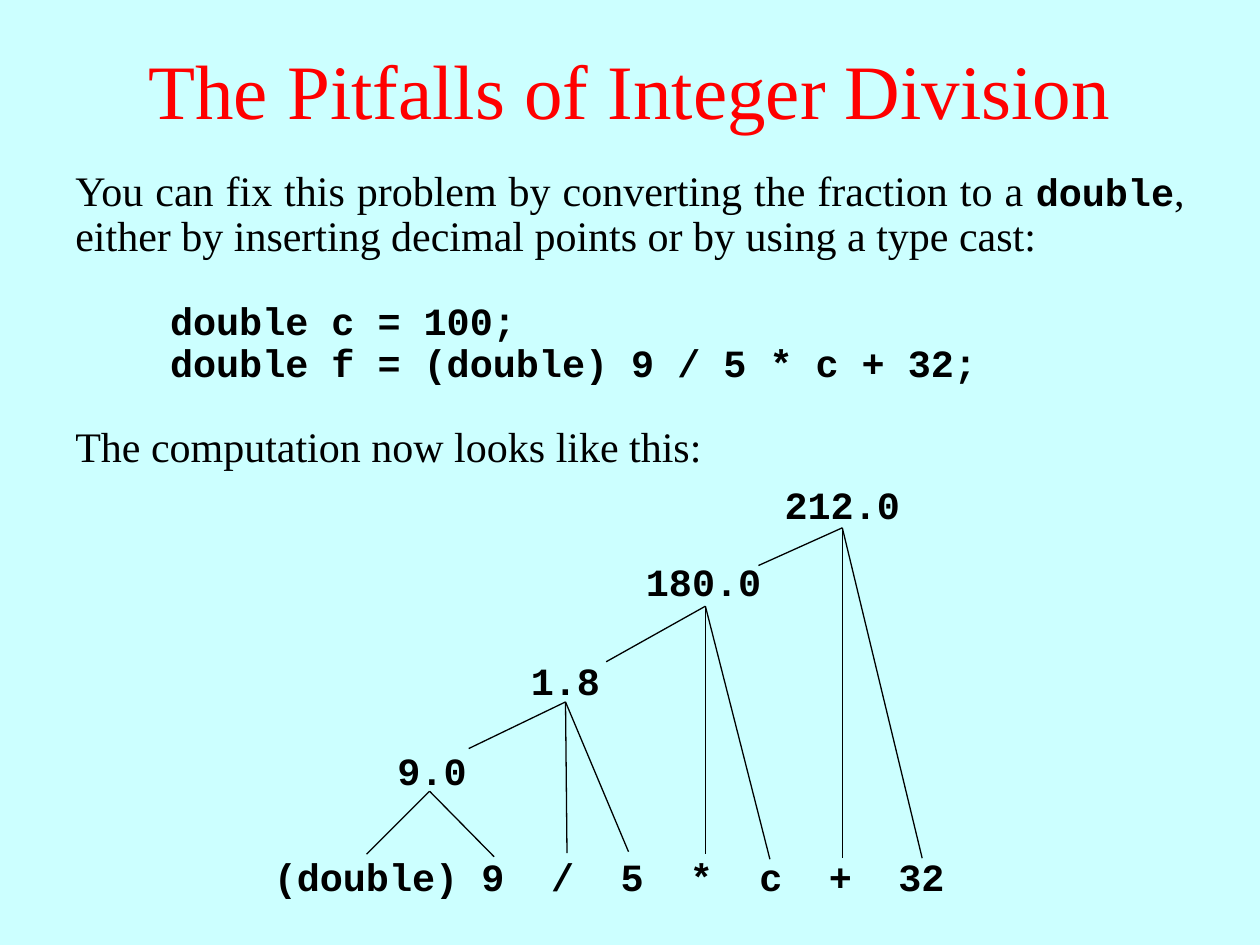
from lxml import etree
from pptx import Presentation
from pptx.dml.color import RGBColor
from pptx.enum.shapes import MSO_CONNECTOR
from pptx.enum.text import MSO_ANCHOR, MSO_AUTO_SIZE, PP_ALIGN
from pptx.oxml.ns import qn
from pptx.util import Cm, Pt

CENTER, JUSTIFY, LEFT = PP_ALIGN.CENTER, PP_ALIGN.JUSTIFY, PP_ALIGN.LEFT
MIDDLE = MSO_ANCHOR.MIDDLE
NO_AUTOFIT = MSO_AUTO_SIZE.NONE
STRAIGHT = MSO_CONNECTOR.STRAIGHT

BACKGROUND = RGBColor(0xCC, 0xFF, 0xFF)
RED = RGBColor(0xFF, 0x00, 0x00)
BLACK = RGBColor(0x00, 0x00, 0x00)
SERIF, MONO = "Times New Roman", "Courier New"


def set_font(font, name, size, color=BLACK, bold=False):
    font.name, font.size, font.bold = name, Pt(size), bold
    font.color.rgb = color


def add_text(left, top, width, height, lines, align, code=True):
    """Add a box of lines, set as bold code or as running text."""
    sp = slide.shapes.add_textbox(Cm(left), Cm(top), Cm(width), Cm(height))
    tf = sp.text_frame
    tf.word_wrap = True
    for i, line in enumerate(lines):
        p = tf.paragraphs[0] if i == 0 else tf.add_paragraph()
        p.text = line
        p.alignment = align
        p.line_spacing = 0.9
        set_font(p.font, MONO if code else SERIF, 22 if code else 24, bold=code)
    return tf


prs = Presentation()
prs.slide_width, prs.slide_height = Cm(25.4), Cm(19.05)
slide = prs.slides.add_slide(prs.slide_layouts[5])
slide.background.fill.solid()
slide.background.fill.fore_color.rgb = BACKGROUND

title = slide.shapes.title
title.left, title.top, title.width, title.height = Cm(0), Cm(0.2), Cm(25.4), Cm(3.18)
tf = title.text_frame
tf.text = "The Pitfalls of Integer Division"
tf.vertical_anchor = MIDDLE
tf.auto_size = NO_AUTOFIT
p = tf.paragraphs[0]
p.alignment = CENTER
set_font(p.font, SERIF, 44, RED)

# Explanation and code
p = add_text(1.27, 3.3, 22.86, 2.08, [""], JUSTIFY, code=False).paragraphs[0]
for text, is_code in [
    ("You can fix this problem by converting the fraction to a ", False),
    ("double", True),
    (", either by inserting decimal points or by using a type cast:", False),
]:
    r = p.add_run()
    r.text = text
    if is_code:
        set_font(r.font, MONO, 22, bold=True)

add_text(3.18, 5.97, 20.32, 1.93,
         ["double c = 100;", "double f = (double) 9 / 5 * c + 32;"], JUSTIFY)
add_text(1.27, 8.46, 22.86, 1.17,
         ["The computation now looks like this:"], JUSTIFY, code=False)

# Evaluation tree: value, box left, top, width, apex of its branches, branch ends
NODES = [
    ("9.0", 7.44, 15.04, 2.54, (8.66, 15.95), [(7.39, 17.22), (9.96, 17.27)]),
    ("1.8", 10.13, 13.23, 2.54, (11.4, 14.15),
     [(9.45, 15.09), (11.43, 17.2), (12.67, 17.17)]),
    ("180.0", 12.7, 11.23, 2.97, (14.22, 12.22),
     [(12.22, 13.34), (14.22, 17.22), (15.52, 17.32)]),
    ("212.0", 15.39, 9.68, 3.18, (16.98, 10.64),
     [(15.29, 11.4), (16.98, 17.3), (18.59, 17.3)]),
]
for value, left, top, width, (x, y), ends in NODES:
    add_text(left, top, width, 1.09, [value], CENTER)
    for end_x, end_y in ends:
        branch = slide.shapes.add_connector(STRAIGHT, Cm(x), Cm(y), Cm(end_x), Cm(end_y))
        branch.line.color.rgb = BLACK
        branch.line.width = Pt(0.75)
        etree.SubElement(branch._element.spPr, qn("a:effectLst"))

# Expression at the foot of the tree, one tab stop per token
tokens = ["(double) 9", "/", "5", "*", "c", "+", "32"]
tf = add_text(1.9, 17.17, 20.75, 1.09, ["\t".join(tokens)], LEFT)
tf.margin_left = Cm(3.62)
pPr = tf.paragraphs[0]._p.get_or_add_pPr()
tabs = etree.Element(qn("a:tabLst"))
for i in range(len(tokens) - 1):
    etree.SubElement(tabs, qn("a:tab"), pos=str(Cm(5.59 + 1.4 * i)), algn="l")
pPr.find(qn("a:defRPr")).addprevious(tabs)

prs.save("out.pptx")
